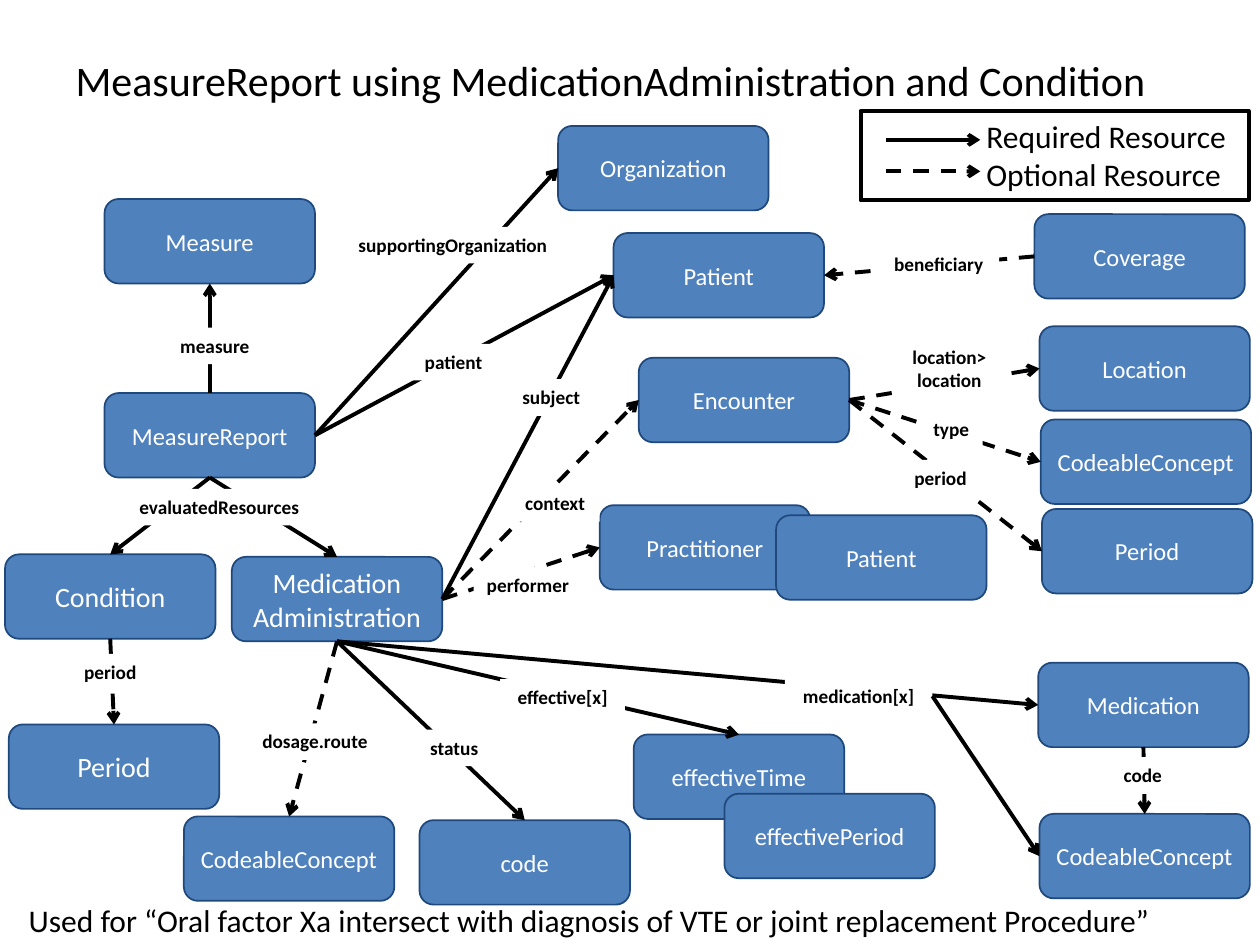
from dataclasses import dataclass

import pptx
import pptx.dml.color
import pptx.enum.dml
import pptx.enum.shapes
import pptx.enum.text
import pptx.oxml
import pptx.oxml.ns
import pptx.shapes.autoshape
import pptx.shapes.connector
import pptx.slide
import pptx.text.text
import pptx.util

Inches = pptx.util.Inches
Align = pptx.enum.text.PP_ALIGN
Anchor = pptx.enum.text.MSO_ANCHOR
TOP, LEFT, BOTTOM, RIGHT = range(4)


@dataclass(frozen=True)
class Theme:
    font: str = "Calibri"
    ink: str = "000000"
    paper: str = "FFFFFF"
    node_fill: str = "4F81BD"
    node_line: str = "1F497D"
    title: int = 24
    note: int = 18
    large_node: int = 16
    node: int = 14
    label: int = 11
    border: float = 1
    stroke: float = 2.25


THEME = Theme()
NODE_WIDTH, NODE_HEIGHT = 1.67, 0.67


@dataclass(frozen=True)
class Node:
    key: str
    text: str
    left: float
    top: float
    size: int = THEME.node


@dataclass(frozen=True)
class Link:
    start: str
    start_side: int
    end: str
    end_side: int
    optional: bool = False


@dataclass(frozen=True)
class Label:
    text: str
    left: float
    top: float
    width: float
    height: float = 0.29


NODES = [
    Node("measure", "Measure", 0.83, 1.58),
    Node("report", "MeasureReport", 0.83, 3.12),
    Node("condition", "Condition", 0.04, 4.4, THEME.large_node),
    Node("administration", "Medication\nAdministration", 1.84, 4.42, THEME.large_node),
    Node("condition period", "Period", 0.07, 5.75, THEME.large_node),
    Node("route", "CodeableConcept", 1.46, 6.48),
    Node("status code", "code", 3.33, 6.51),
    Node("organization", "Organization", 4.43, 1),
    Node("patient", "Patient", 4.87, 1.85),
    Node("encounter", "Encounter", 5.07, 2.84),
    Node("practitioner", "Practitioner", 4.76, 4.01),
    Node("patient performer", "Patient", 6.16, 4.09),
    Node("effective time", "effectiveTime", 5.03, 5.83),
    Node("effective period", "effectivePeriod", 5.75, 6.3),
    Node("coverage", "Coverage", 8.21, 1.7),
    Node("location", "Location", 8.25, 2.59),
    Node("encounter type", "CodeableConcept", 8.26, 3.33),
    Node("encounter period", "Period", 8.27, 4.04),
    Node("medication", "Medication", 8.24, 5.26),
    Node("medication code", "CodeableConcept", 8.25, 6.46),
]

LINKS = [
    Link("report", TOP, "measure", BOTTOM),
    Link("report", BOTTOM, "condition", TOP),
    Link("report", BOTTOM, "administration", TOP),
    Link("report", RIGHT, "organization", LEFT),
    Link("report", RIGHT, "patient", LEFT),
    Link("condition", BOTTOM, "condition period", TOP, optional=True),
    Link("administration", RIGHT, "patient", LEFT),
    Link("administration", RIGHT, "encounter", LEFT, optional=True),
    Link("administration", RIGHT, "practitioner", LEFT, optional=True),
    Link("administration", BOTTOM, "route", TOP, optional=True),
    Link("administration", BOTTOM, "status code", TOP),
    Link("administration", BOTTOM, "effective time", TOP),
    Link("administration", BOTTOM, "medication", LEFT),
    Link("coverage", LEFT, "patient", RIGHT, optional=True),
    Link("encounter", RIGHT, "location", LEFT, optional=True),
    Link("encounter", RIGHT, "encounter type", LEFT, optional=True),
    Link("encounter", RIGHT, "encounter period", LEFT, optional=True),
    Link("medication", BOTTOM, "medication code", TOP),
]

LABELS = [
    Label("measure", 1.08, 2.6, 1.25),
    Label("evaluatedResources", 0.98, 3.88, 1.52),
    Label("supportingOrganization", 2.68, 1.8, 1.83),
    Label("patient", 3.25, 2.73, 0.7),
    Label("subject", 4.02, 3.01, 0.71),
    Label("context", 4.05, 3.85, 0.71),
    Label("performer", 3.76, 4.5, 0.86),
    Label("period", 0.52, 5.19, 0.71),
    Label("dosage.route", 1.97, 5.74, 1.06),
    Label("status", 3.25, 5.79, 0.71),
    Label("effective[x]", 3.97, 5.39, 0.99),
    Label("beneficiary", 6.97, 1.95, 0.96),
    Label("location>\nlocation", 7.1, 2.69, 0.87, 0.47),
    Label("type", 7.3, 3.26, 0.5),
    Label("period", 7.11, 3.65, 0.71),
    Label("code", 8.8, 6.01, 0.54),
]
MEDICATION_LABEL = Label("medication[x]", 6.23, 5.38, 1.17)


def rgb(value: str) -> pptx.dml.color.RGBColor:
    return pptx.dml.color.RGBColor.from_string(value)


def write_text(frame: pptx.text.text.TextFrame, text: str, *, size: int,
               color: str = THEME.ink, bold: bool = False, align: Align = Align.LEFT,
               anchor: Anchor = Anchor.TOP, wrap: bool = True, indent: float = 0) -> None:
    """Write one paragraph per line of text."""
    frame.word_wrap = wrap
    frame.vertical_anchor = anchor
    for index, line in enumerate(text.split("\n")):
        para = frame.add_paragraph() if index else frame.paragraphs[0]
        para.alignment = align
        if indent:
            properties = para._p.get_or_add_pPr()
            properties.set("marL", str(Inches(indent)))
            properties.set("indent", "0")
        span = para.add_run()
        span.text = line
        span.font.name = THEME.font
        span.font.size = pptx.util.Pt(size)
        span.font.bold = bold
        span.font.color.rgb = rgb(color)


def add_text_box(page: pptx.slide.Slide, left: float, top: float,
                 width: float, height: float) -> pptx.shapes.autoshape.Shape:
    return page.shapes.add_textbox(Inches(left), Inches(top), Inches(width), Inches(height))


def draw_node(page: pptx.slide.Slide, node: Node) -> pptx.shapes.autoshape.Shape:
    box = page.shapes.add_shape(
        pptx.enum.shapes.MSO_SHAPE.FLOWCHART_ALTERNATE_PROCESS,
        Inches(node.left), Inches(node.top), Inches(NODE_WIDTH), Inches(NODE_HEIGHT))
    box.shadow.inherit = False
    box.fill.solid()
    box.fill.fore_color.rgb = rgb(THEME.node_fill)
    box.line.color.rgb = rgb(THEME.node_line)
    box.line.width = pptx.util.Pt(THEME.border)
    write_text(box.text_frame, node.text, size=node.size, color=THEME.paper,
               align=Align.CENTER, anchor=Anchor.MIDDLE)
    return box


def draw_label(page: pptx.slide.Slide, label: Label) -> pptx.shapes.autoshape.Shape:
    box = add_text_box(page, label.left, label.top, label.width, label.height)
    box.fill.solid()
    box.fill.fore_color.rgb = rgb(THEME.paper)
    write_text(box.text_frame, label.text, size=THEME.label, bold=True,
               align=Align.CENTER, wrap=False)
    return box


def draw_arrow(page: pptx.slide.Slide, start: tuple[float, float] = (0, 0),
               end: tuple[float, float] = (0, 0),
               optional: bool = False) -> pptx.shapes.connector.Connector:
    arrow = page.shapes.add_connector(
        pptx.enum.shapes.MSO_CONNECTOR.STRAIGHT, *map(Inches, (*start, *end)))
    arrow.line.color.rgb = rgb(THEME.ink)
    arrow.line.width = pptx.util.Pt(THEME.stroke)
    if optional:
        arrow.line.dash_style = pptx.enum.dml.MSO_LINE.DASH
    head = pptx.oxml.parse_xml(f'<a:tailEnd {pptx.oxml.ns.nsdecls("a")} type="arrow"/>')
    arrow.line._get_or_add_ln().append(head)
    arrow._element.spPr.append(
        pptx.oxml.parse_xml(f'<a:effectLst {pptx.oxml.ns.nsdecls("a")}/>'))
    return arrow


def draw_link(page: pptx.slide.Slide, link: Link,
              boxes: dict[str, pptx.shapes.autoshape.Shape]) -> None:
    arrow = draw_arrow(page, optional=link.optional)
    arrow.begin_connect(boxes[link.start], link.start_side)
    arrow.end_connect(boxes[link.end], link.end_side)


def draw_legend(page: pptx.slide.Slide) -> None:
    box = add_text_box(page, 6.83, 0.88, 3.08, 0.71)
    box.line.color.rgb = rgb(THEME.ink)
    box.line.width = pptx.util.Pt(THEME.stroke)
    write_text(box.text_frame, "Required Resource\nOptional Resource",
               size=THEME.note, indent=0.9)
    for y, optional in ((1.11, False), (1.36, True)):
        draw_arrow(page, (7.03, y), (7.78, y), optional)


def main() -> None:
    deck = pptx.Presentation()
    deck.slide_width, deck.slide_height = Inches(10), Inches(7.5)
    page = deck.slides.add_slide(deck.slide_layouts.get_by_name("Title Only"))

    title = page.shapes.title
    title.left, title.top, title.width, title.height = map(Inches, (0.5, 0.01, 9, 1.25))
    write_text(title.text_frame, "MeasureReport using MedicationAdministration and Condition",
               size=THEME.title, anchor=Anchor.MIDDLE)

    boxes = {node.key: draw_node(page, node) for node in NODES}
    for link in LINKS:
        draw_link(page, link, boxes)
    for label in LABELS:
        draw_label(page, label)
    boxes["medication label"] = draw_label(page, MEDICATION_LABEL)
    draw_link(page, Link("medication label", RIGHT, "medication code", LEFT), boxes)

    draw_legend(page)
    note = add_text_box(page, 0.13, 7.1, 9.46, 0.4)
    write_text(note.text_frame, "Used for “Oral factor Xa intersect with diagnosis of VTE "
               "or joint replacement Procedure”", size=THEME.note)
    deck.save("out.pptx")


if __name__ == "__main__":
    main()
